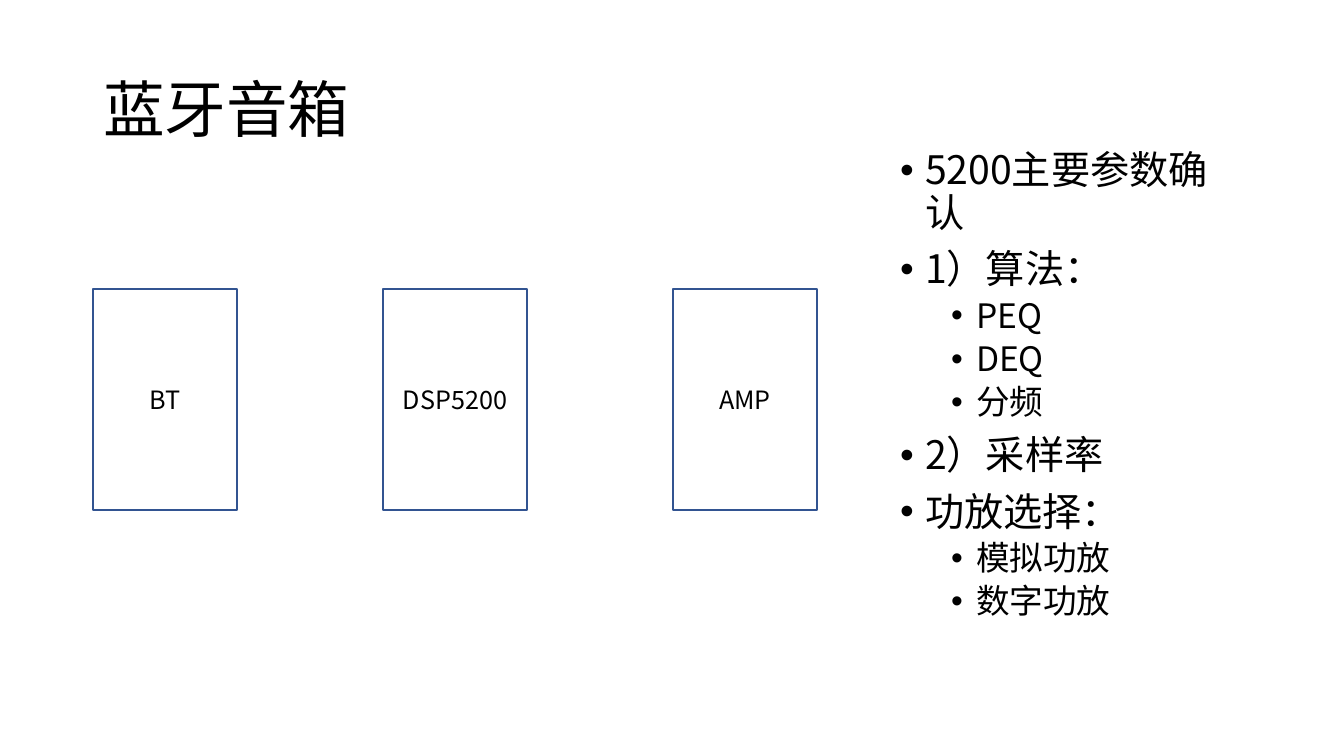
from lxml.etree import SubElement
from pptx import Presentation
from pptx.dml.color import RGBColor
from pptx.enum.shapes import MSO_SHAPE
from pptx.enum.text import MSO_ANCHOR, MSO_AUTO_SIZE, PP_ALIGN
from pptx.oxml.ns import qn
from pptx.util import Pt

TITLE = "蓝牙音箱"
STAGES = ["BT", "DSP5200", "AMP"]
NOTES = [
    ("5200主要参数确认", []),
    ("1）算法：", ["PEQ", "DEQ", "分频"]),
    ("2）采样率", []),
    ("功放选择：", ["模拟功放", "数字功放"]),
]

FONT = "Noto Sans CJK SC"
BLACK, OUTLINE = "000000", "325491"
PIXEL = 914400 / 100.8
SLIDE_SIZE = (1344, 756)
TITLE_AREA = (93, 40, 1159, 146)
NOTES_AREA = (890, 146, 362, 534)
STAGE_LEFT, STAGE_TOP, STAGE_WIDTH, STAGE_HEIGHT = 93, 289, 144, 221
STAGE_PITCH = 290
# Per list level: size and space before in points, left indent in pixels
LEVELS = [(28, 10, 25), (24, 5, 76)]
HANGING = 25


def emu(pixels):
    """Turn pixels into EMU."""
    return round(pixels * PIXEL)


def color(hex_string):
    """Turn a hex string into a colour."""
    return RGBColor.from_string(hex_string)


def place(shape, area):
    """Move a shape to an area given in pixels."""
    shape.left, shape.top, shape.width, shape.height = map(emu, area)


def write(para, text, size, align=PP_ALIGN.LEFT, line_spacing=1.0, before=0):
    """Add a formatted run to a paragraph."""
    para.alignment = align
    para.line_spacing = line_spacing
    para.space_before = Pt(before)
    span = para.add_run()
    span.text = text
    span.font.size = Pt(size)
    span.font.name = FONT
    span.font.color.rgb = color(BLACK)
    SubElement(span.font._element, qn("a:ea")).set("typeface", FONT)


def add_bullet(para, indent):
    """Give a paragraph a round bullet and a hanging indent."""
    properties = para._p.get_or_add_pPr()
    properties.set("marL", str(emu(indent)))
    properties.set("indent", str(-emu(HANGING)))
    SubElement(properties, qn("a:buFont")).set("typeface", "Arial")
    SubElement(properties, qn("a:buChar")).set("char", "•")


def fill_notes(frame):
    """Write the two-level list of notes."""
    frame.auto_size = MSO_AUTO_SIZE.NONE
    entries = [entry for heading, items in NOTES
               for entry in [(heading, 0)] + [(item, 1) for item in items]]
    for index, (text, level) in enumerate(entries):
        para = frame.add_paragraph() if index else frame.paragraphs[0]
        size, before, indent = LEVELS[level]
        para.level = level
        write(para, text, size, line_spacing=0.9, before=before)
        add_bullet(para, indent)


def add_stage(page, index, name):
    """Add one outlined box of the signal chain."""
    box = page.shapes.add_shape(MSO_SHAPE.RECTANGLE, 0, 0, 0, 0)
    place(box, (STAGE_LEFT + index * STAGE_PITCH, STAGE_TOP,
                STAGE_WIDTH, STAGE_HEIGHT))
    box.shadow.inherit = False
    box.fill.background()
    box.line.color.rgb = color(OUTLINE)
    box.line.width = Pt(1)
    box.text_frame.vertical_anchor = MSO_ANCHOR.MIDDLE
    write(box.text_frame.paragraphs[0], name, 18, align=PP_ALIGN.CENTER)


deck = Presentation()
deck.slide_width, deck.slide_height = map(emu, SLIDE_SIZE)
page = deck.slides.add_slide(deck.slide_layouts[1])

title, notes = page.shapes.title, page.placeholders[1]
place(title, TITLE_AREA)
title.text_frame.vertical_anchor = MSO_ANCHOR.MIDDLE
title.text_frame.auto_size = MSO_AUTO_SIZE.NONE
write(title.text_frame.paragraphs[0], TITLE, 44, line_spacing=0.9)

place(notes, NOTES_AREA)
fill_notes(notes.text_frame)

for index, name in enumerate(STAGES):
    add_stage(page, index, name)

deck.save("out.pptx")
